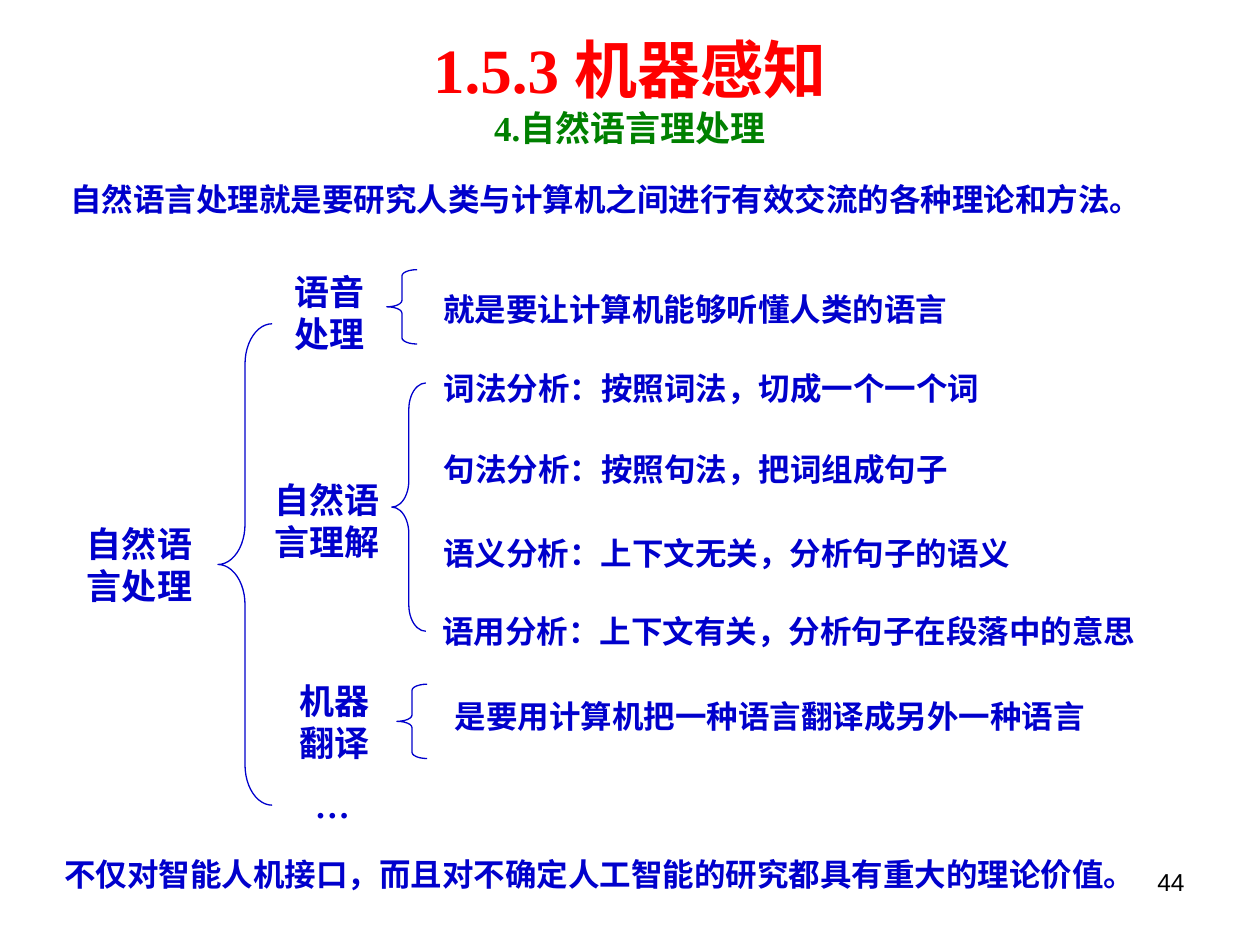
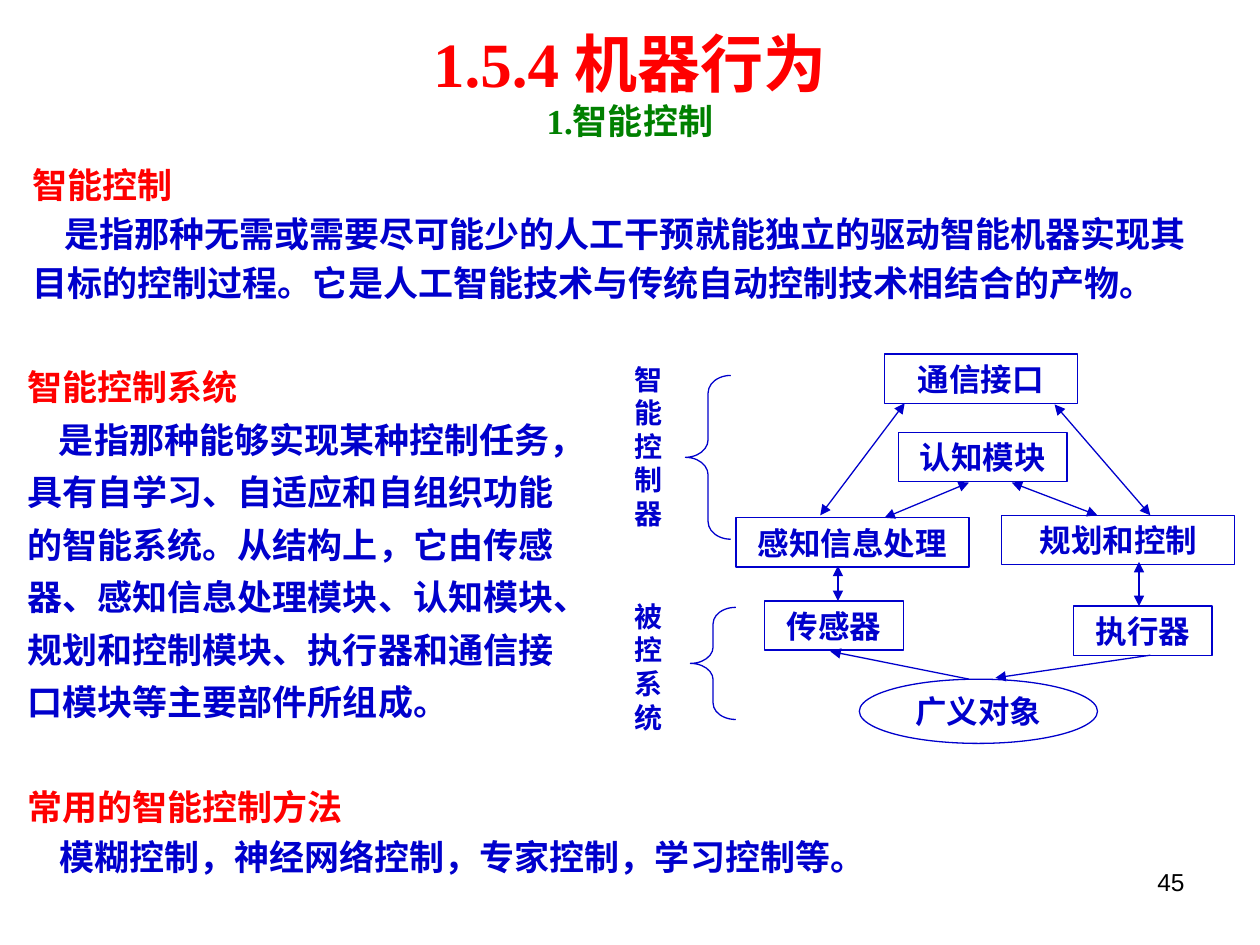
import pptx
import pptx.util
import pptx.dml.color
import pptx.enum.shapes
import pptx.enum.text
import pptx.oxml
import pptx.oxml.ns

Inches = pptx.util.Inches
SHAPE = pptx.enum.shapes.MSO_SHAPE
ALIGN = pptx.enum.text.PP_ALIGN
ANCHOR = pptx.enum.text.MSO_ANCHOR
BLUE, RED, GREEN, BLACK, WHITE = "0000CC", "FF0000", "008000", "000000", "FFFFFF"
TITLE = dict(size=36, name="Times New Roman", color=RED, bold=True)
SUBTITLE = dict(TITLE, size=20, color=GREEN)
HEADING = dict(TITLE, size=20)
BODY = dict(HEADING, color=BLUE)
ITEM = dict(BODY, size=18)
NODE = dict(ITEM, name="Arial")
SIDE = dict(NODE, size=16)
NUMBER = dict(size=14, name="Arial", color=BLACK, bold=False)
PLAIN, TIGHT = (0.1, 0.05), (0.02, 0.01)


def color(value):
    return pptx.dml.color.RGBColor.from_string(value)


def write(sp, paragraphs, inset=PLAIN, align=ALIGN.LEFT, anchor=ANCHOR.TOP, wrap=True, indent=0, **spacing):
    tf = sp.text_frame
    frame = dict(word_wrap=wrap, vertical_anchor=anchor,
                 margin_left=Inches(inset[0]), margin_right=Inches(inset[0]),
                 margin_top=Inches(inset[1]), margin_bottom=Inches(inset[1]))
    for key, value in frame.items():
        setattr(tf, key, value)
    for i, runs in enumerate(paragraphs):
        p = tf.add_paragraph() if i else tf.paragraphs[0]
        for key, value in dict(spacing, alignment=align).items():
            if i or key != "space_before":
                setattr(p, key, value)
        if indent and i == len(paragraphs) - 1:
            p._p.get_or_add_pPr().set("indent", str(Inches(indent)))
        for j, (text, style) in enumerate(runs):
            if j:
                p.add_line_break()
            r = p.add_run()
            r.text = text
            for key, value in style.items():
                if key == "color":
                    r.font.color.rgb = color(value)
                else:
                    setattr(r.font, key, pptx.util.Pt(value) if key == "size" else value)


prs = pptx.Presentation()
prs.slide_width, prs.slide_height = Inches(10), Inches(7.5)

pages = [
    ("44", "1.5.3 机器感知", "4.自然语言理处理", 0.17, 1.08,
     [(1.73, 2.57, 0.43, 3.82, 0.32), (3.07, 2.14, 0.24, 0.59, 0.05),
      (3.11, 3.04, 0.27, 1.97, 0.21), (3.15, 5.43, 0.24, 0.59, 0.05)]),
    ("45", "1.5.4 机器行为", "1.智能控制", 0.09, 1.14,
     [(5.44, 2.98, 0.36, 1.3, 0.14), (5.48, 4.82, 0.36, 0.89, 0.13)]),
]
for number, title, subtitle, top, height, braces in pages:
    s = prs.slides.add_slide(prs.slide_layouts[6])
    sp = s.shapes.add_textbox(Inches(7.17), Inches(6.83), Inches(2.33), Inches(0.52))
    write(sp, [[(number, NUMBER)]], align=ALIGN.RIGHT)
    sp = s.shapes.add_textbox(Inches(0.33), Inches(top), Inches(9.34), Inches(height))
    write(sp, [[(title, TITLE), (subtitle, SUBTITLE)]], align=ALIGN.CENTER, anchor=ANCHOR.MIDDLE)
    for x, y, w, h, radius in braces:
        sp = s.shapes.add_shape(SHAPE.LEFT_BRACE, Inches(x), Inches(y), Inches(w), Inches(h))
        sp.adjustments[0] = radius / w
        sp.shadow.inherit = False
        sp.fill.background()
        sp.line.color.rgb = color(BLUE)
        sp.line.width = pptx.util.Pt(0.75)

language, control = prs.slides

sentences = [
    (0.24, 1.35, 9.49, 0.43, 1.1, "自然语言处理就是要研究人类与计算机之间进行有效交流的各种理论和方法。"),
    (0.19, 6.74, 8.94, 0.7, 1.0, "不仅对智能人机接口，而且对不确定人工智能的研究都具有重大的理论价值。"),
]
for x, y, w, h, spacing, text in sentences:
    sp = language.shapes.add_textbox(Inches(x), Inches(y), Inches(w), Inches(h))
    write(sp, [[(text, ITEM)]], indent=0.22, line_spacing=spacing)

branches = [
    (0.67, 4.14, 1.02, 0.69, "自然语言处理", BODY),
    (2.16, 3.79, 1.02, 0.69, "自然语言理解", BODY),
    (2.32, 2.14, 0.79, 0.69, "语音处理", BODY),
    (2.36, 5.38, 0.63, 0.69, "机器翻译", BODY),
    (2.48, 6.21, 1.14, 0.36, "…", BODY),
    (3.5, 2.29, 4.8, 0.32, "就是要让计算机能够听懂人类的语言", ITEM),
    (3.5, 2.92, 5.75, 0.32, "词法分析：按照词法，切成一个一个词", ITEM),
    (3.5, 3.56, 5.32, 0.32, "句法分析：按照句法，把词组成句子", ITEM),
    (3.5, 4.23, 5.67, 0.32, "语义分析：上下文无关，分析句子的语义", ITEM),
    (3.49, 4.85, 5.98, 0.32, "语用分析：上下文有关，分析句子在段落中的意思", ITEM),
    (3.59, 5.52, 5.35, 0.32, "是要用计算机把一种语言翻译成另外一种语言", ITEM),
]
for x, y, w, h, text, style in branches:
    sp = language.shapes.add_textbox(Inches(x), Inches(y), Inches(w), Inches(h))
    write(sp, [[(text, style)]], inset=TIGHT)

sections = [
    (0.16, 1.19, 9.61, 1.27, dict(line_spacing=pptx.util.Pt(28)), "智能控制",
     "是指那种无需或需要尽可能少的人工干预就能独立的驱动智能机器实现其目标的控制过程。"
     "它是人工智能技术与传统自动控制技术相结合的产物。"),
    (0.12, 2.77, 4.53, 3.02, dict(line_spacing=pptx.util.Pt(30)), "智能控制系统",
     "是指那种能够实现某种控制任务，具有自学习、自适应和自组织功能的智能系统。"
     "从结构上，它由传感器、感知信息处理模块、认知模块、规划和控制模块、"
     "执行器和通信接口模块等主要部件所组成。"),
    (0.12, 6.15, 9.69, 0.87,
     dict(line_spacing=1.1, space_before=pptx.util.Pt(1.2), space_after=pptx.util.Pt(1.2)),
     "常用的智能控制方法", "模糊控制，神经网络控制，专家控制，学习控制等。"),
]
for x, y, w, h, spacing, heading, text in sections:
    sp = control.shapes.add_textbox(Inches(x), Inches(y), Inches(w), Inches(h))
    write(sp, [[(heading, HEADING)], [(text, BODY)]], indent=0.25, **spacing)

nodes = [
    (7.02, 2.81, 1.53, 0.39, SHAPE.RECTANGLE, "通信接口"),
    (7.13, 3.43, 1.34, 0.39, SHAPE.RECTANGLE, "认知模块"),
    (5.84, 4.11, 1.85, 0.39, SHAPE.RECTANGLE, "感知信息处理"),
    (7.95, 4.09, 1.85, 0.39, SHAPE.RECTANGLE, "规划和控制"),
    (6.07, 4.77, 1.1, 0.39, SHAPE.RECTANGLE, "传感器"),
    (8.52, 4.81, 1.1, 0.39, SHAPE.RECTANGLE, "执行器"),
    (6.82, 5.39, 1.89, 0.51, SHAPE.OVAL, "广义对象"),
]
for x, y, w, h, kind, text in nodes:
    sp = control.shapes.add_shape(kind, Inches(x), Inches(y), Inches(w), Inches(h))
    sp.shadow.inherit = False
    sp.fill.solid()
    sp.fill.fore_color.rgb = color(WHITE)
    sp.line.color.rgb = color(BLUE)
    sp.line.width = pptx.util.Pt(0.75)
    write(sp, [[(text, NODE)]], align=ALIGN.CENTER, anchor=ANCHOR.MIDDLE, wrap=False)

BOTH, END = ("headEnd", "tailEnd"), ("tailEnd",)
arrows = [
    (7.18, 3.2, 6.51, 4.09, BOTH), (7.69, 3.83, 7.02, 4.11, BOTH),
    (8.37, 3.21, 9.13, 4.09, BOTH), (8.03, 3.83, 8.71, 4.09, BOTH),
    (6.65, 4.49, 6.65, 4.77, BOTH), (9.04, 4.46, 9.04, 4.81, BOTH),
    (7.69, 5.39, 6.59, 5.17, END), (9.13, 5.2, 7.9, 5.38, END),
]
for x1, y1, x2, y2, ends in arrows:
    sp = control.shapes.add_connector(pptx.enum.shapes.MSO_CONNECTOR.STRAIGHT,
                                      Inches(x1), Inches(y1), Inches(x2), Inches(y2))
    sp.line.color.rgb = color(BLUE)
    sp.line.width = pptx.util.Pt(0.75)
    ln = sp.line._get_or_add_ln()
    for end in ends:
        ln.append(pptx.oxml.parse_xml(f'<a:{end} {pptx.oxml.ns.nsdecls("a")} type="triangle"/>'))
    sp._element.spPr.append(pptx.oxml.parse_xml(f'<a:effectLst {pptx.oxml.ns.nsdecls("a")}/>'))

for y, text in [(2.77, "智能控制器"), (4.52, "被控系统")]:
    sp = control.shapes.add_textbox(Inches(4.85), Inches(y), Inches(0.59), Inches(1.54))
    write(sp, [[(letter, SIDE)] for letter in text], align=ALIGN.CENTER, anchor=ANCHOR.MIDDLE, wrap=False)

prs.save("out.pptx")
